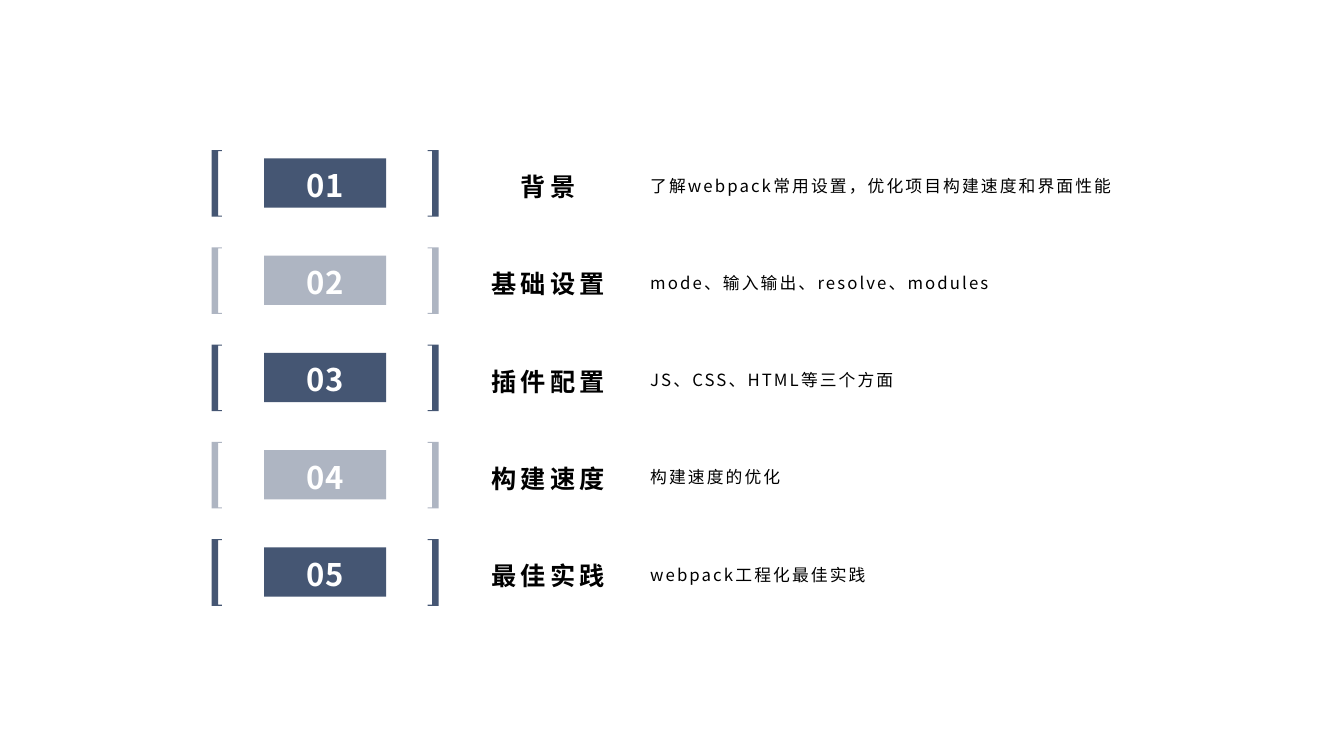
from dataclasses import dataclass

from lxml.etree import SubElement
from pptx import Presentation
from pptx.dml.color import RGBColor as RGB
from pptx.enum.shapes import MSO_SHAPE as SHAPE
from pptx.enum.text import MSO_ANCHOR as ANCHOR, PP_ALIGN as ALIGN
from pptx.oxml.ns import qn
from pptx.util import Inches, Pt


@dataclass(frozen=True)
class Theme:
    font: str = "Noto Sans CJK SC"
    dark: RGB = RGB(0x45, 0x56, 0x73)
    light: RGB = RGB(0xAE, 0xB5, 0xC2)
    white: RGB = RGB(0xFF, 0xFF, 0xFF)
    black: RGB = RGB(0, 0, 0)
    number_size: float = 22.2
    title_size: float = 18
    detail_size: float = 12


@dataclass(frozen=True)
class Column:
    """A column of the agenda grid, in inches; drop is the offset from the row's top."""
    left: float
    width: float
    drop: float
    height: float

    def box(self, row: int) -> tuple[int, int, int, int]:
        top = FIRST_ROW + row * PITCH + self.drop
        return Inches(self.left), Inches(top), Inches(self.width), Inches(self.height)


@dataclass(frozen=True)
class Entry:
    title: str
    detail: str


THEME = Theme()
ENTRIES = (
    Entry("背景", "了解webpack常用设置，优化项目构建速度和界面性能"),
    Entry("基础设置", "mode、输入输出、resolve、modules"),
    Entry("插件配置", "JS、CSS、HTML等三个方面"),
    Entry("构建速度", "构建速度的优化"),
    Entry("最佳实践", "webpack工程化最佳实践"),
)
FIRST_ROW, LAST_ROW = 1.49, 5.35
PITCH = (LAST_ROW - FIRST_ROW) / (len(ENTRIES) - 1)

LEFT_BRACKET = Column(2.1, 0.1, 0, 0.66)
RIGHT_BRACKET = Column(4.24, 0.11, 0, 0.66)
NUMBER = Column(2.62, 1.21, 0.08, 0.49)
TITLE = Column(4.63, 1.61, 0.02, 0.62)
DETAIL = Column(6.35, 4.89, 0.03, 0.6)
BAR, LIP = Inches(0.065), Inches(0.01)


def set_text(sp, text: str, *, size: float, color: RGB, bold: bool = False,
             align: ALIGN = ALIGN.LEFT, line_spacing: float = 1.2,
             tracking: float = 0) -> None:
    tf = sp.text_frame
    tf.word_wrap = True
    tf.vertical_anchor = ANCHOR.MIDDLE
    p = tf.paragraphs[0]
    p.alignment, p.line_spacing = align, line_spacing
    r = p.add_run()
    r.text = text
    r.font.size, r.font.bold, r.font.name = Pt(size), bold, THEME.font
    r.font.color.rgb = color
    r_pr = r.font._element
    SubElement(r_pr, qn("a:ea"), typeface=THEME.font)
    if tracking:
        r_pr.set("spc", str(round(tracking * 100)))


def paint(sp, color: RGB) -> None:
    sp.shadow.inherit = False
    sp.fill.solid()
    sp.fill.fore_color.rgb = color
    sp.line.fill.background()


def add_bracket(shapes, column: Column, row: int, color: RGB, opens_right: bool) -> None:
    left, top, width, height = column.box(row)
    bottom = top + height
    back, tip, step = (left, left + width, BAR) if opens_right else (left + width, left, -BAR)
    inner = back + step
    outline = shapes.build_freeform(back, top)
    outline.add_line_segments([
        (tip, top), (tip, top + LIP), (inner, top + LIP),
        (inner, bottom - LIP), (tip, bottom - LIP), (tip, bottom), (back, bottom),
    ])
    paint(outline.convert_to_shape(), color)


def add_entry(shapes, row: int, entry: Entry) -> None:
    color = THEME.light if row % 2 else THEME.dark
    add_bracket(shapes, LEFT_BRACKET, row, color, opens_right=True)
    add_bracket(shapes, RIGHT_BRACKET, row, color, opens_right=False)
    number = shapes.add_shape(SHAPE.RECTANGLE, *NUMBER.box(row))
    paint(number, color)
    set_text(number, f"{row + 1:02}", size=THEME.number_size, color=THEME.white,
             bold=True, align=ALIGN.CENTER, line_spacing=1.1)
    set_text(shapes.add_textbox(*DETAIL.box(row)), entry.detail,
             size=THEME.detail_size, color=THEME.black, tracking=1.5)
    set_text(shapes.add_textbox(*TITLE.box(row)), entry.title, size=THEME.title_size,
             color=THEME.black, bold=True, align=ALIGN.CENTER, tracking=3)


def main() -> None:
    prs = Presentation()
    prs.slide_width, prs.slide_height = Inches(13.33), Inches(7.5)
    s = prs.slides.add_slide(prs.slide_layouts[6])
    for row, entry in enumerate(ENTRIES):
        add_entry(s.shapes, row, entry)
    prs.save("out.pptx")


if __name__ == "__main__":
    main()
